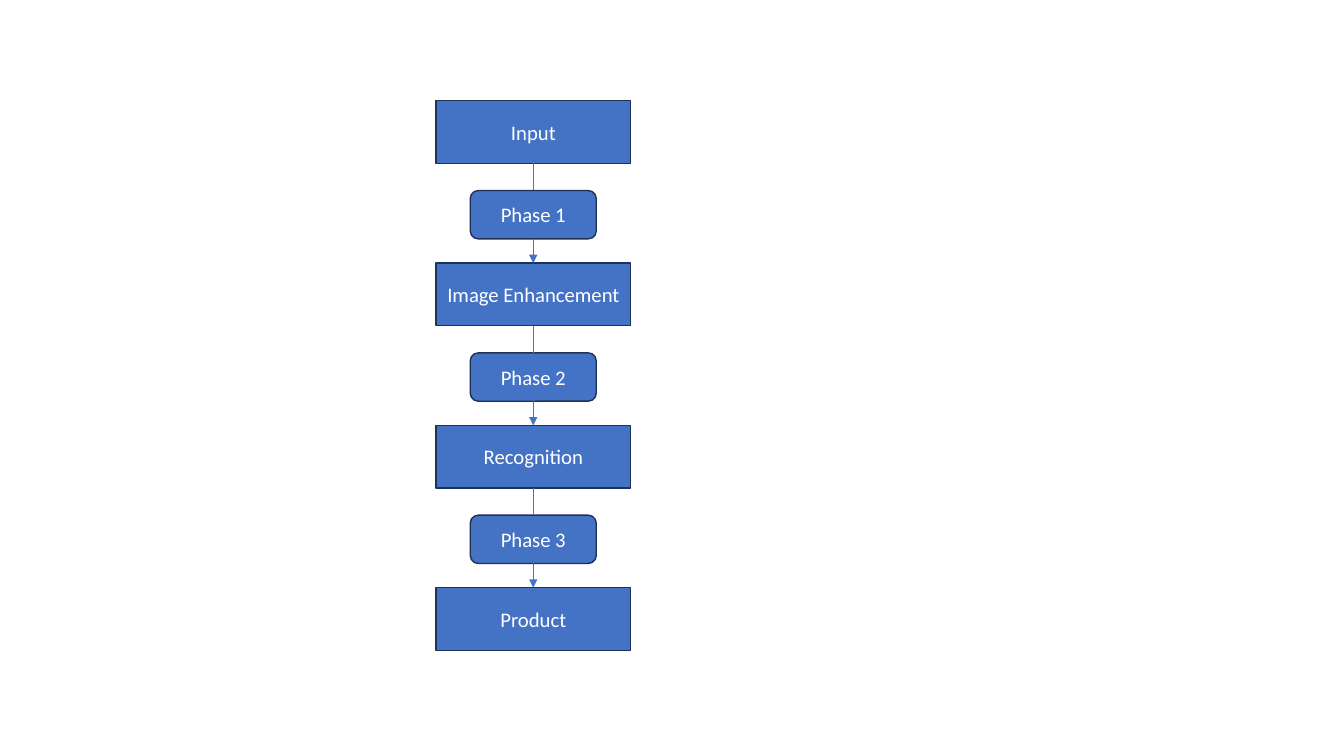
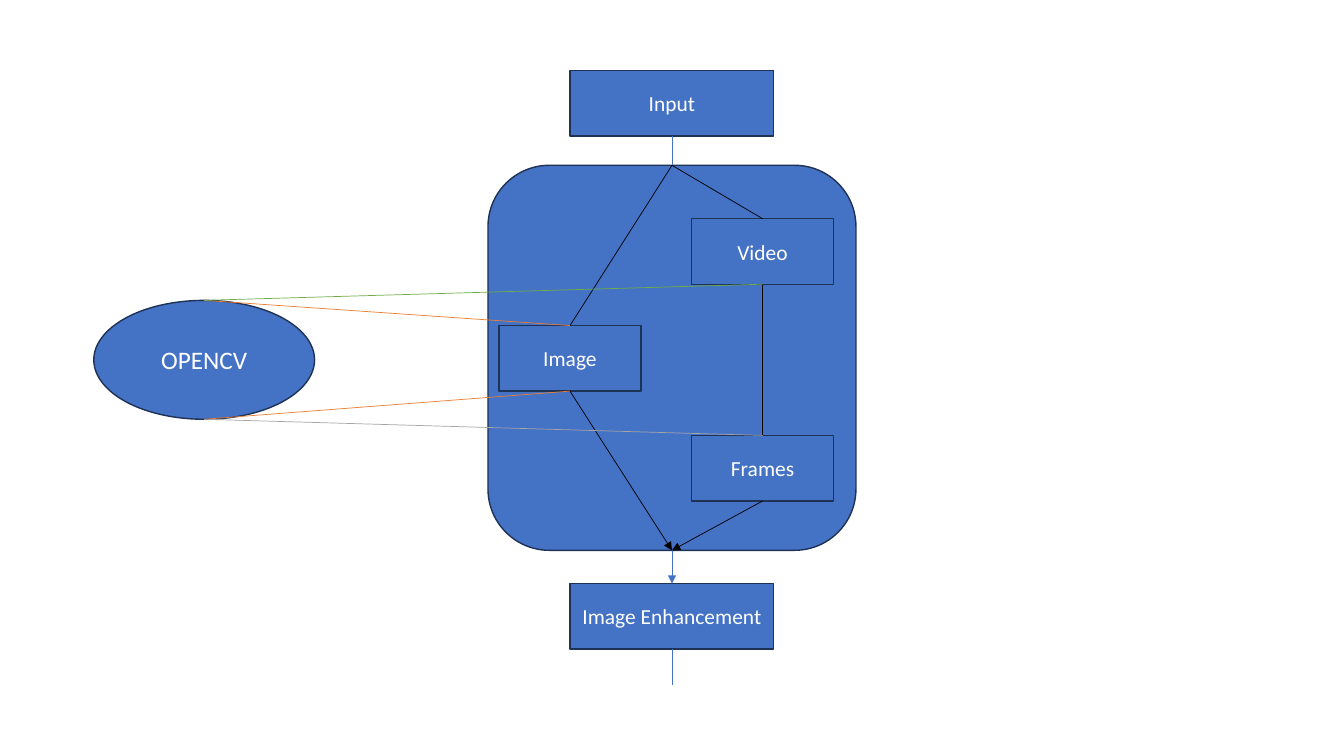
from dataclasses import dataclass

from lxml import etree
from pptx import Presentation
from pptx.dml.color import RGBColor
from pptx.enum.shapes import MSO_CONNECTOR, MSO_SHAPE
from pptx.enum.text import MSO_ANCHOR, PP_ALIGN
from pptx.oxml.ns import qn
from pptx.util import Inches, Pt

BOX = MSO_SHAPE.FLOWCHART_PROCESS
ROUND = MSO_SHAPE.FLOWCHART_ALTERNATE_PROCESS
OVAL = MSO_SHAPE.OVAL
STRAIGHT = MSO_CONNECTOR.STRAIGHT
MIDDLE = MSO_ANCHOR.MIDDLE
CENTER = PP_ALIGN.CENTER
TOP, BOTTOM = 0, 2


@dataclass(frozen=True)
class Theme:
    font: str = "Calibri"
    fill: str = "4472C4"
    edge: str = "1E3256"
    text: str = "FFFFFF"
    black: str = "000000"
    orange: str = "ED7D31"
    green: str = "70AD47"
    gray: str = "A5A5A5"
    small: float = 14.8
    body: float = 15.3
    large: float = 18
    thick: float = 1
    thin: float = 0.5
    gap: float = 6


class Deck:
    """Places parts by percent of the slide's width and height."""

    def __init__(self, theme):
        self.theme = theme
        self.prs = Presentation()
        self.prs.slide_width = Inches(13.33)
        self.prs.slide_height = Inches(7.5)
        self.slide = None

    def page(self):
        self.slide = self.prs.slides.add_slide(self.prs.slide_layouts[6])

    def across(self, share):
        return round(self.prs.slide_width * share / 100)

    def down(self, share):
        return round(self.prs.slide_height * share / 100)

    def node(self, kind, mid, top, size, text="", points=None, gap=None):
        """Draw a shape centred on the column mid."""
        theme = self.theme
        wide, high = size
        shape = self.slide.shapes.add_shape(
            kind, self.across(mid - wide / 2), self.down(top),
            self.across(wide), self.down(high))
        shape.shadow.inherit = False
        shape.fill.solid()
        shape.fill.fore_color.rgb = RGBColor.from_string(theme.fill)
        shape.line.color.rgb = RGBColor.from_string(theme.edge)
        shape.line.width = Pt(theme.thick)
        if text:
            frame = shape.text_frame
            frame.word_wrap = True
            frame.vertical_anchor = MIDDLE
            frame.margin_left = frame.margin_right = 0
            para = frame.paragraphs[0]
            para.text = text
            para.alignment = CENTER
            para.space_after = Pt(theme.gap if gap is None else gap)
            para.font.name = theme.font
            para.font.size = Pt(points or theme.body)
            para.font.color.rgb = RGBColor.from_string(theme.text)
        return shape

    def spot(self, shape, side):
        """Return the middle of a shape's top or bottom side."""
        drop = shape.height if side == BOTTOM else 0
        return shape.left + shape.width // 2, shape.top + drop

    def line(self, start, end, color=None, arrow=False):
        wire = self.slide.shapes.add_connector(STRAIGHT, *start, *end)
        wire.line.color.rgb = RGBColor.from_string(color or self.theme.fill)
        wire.line.width = Pt(self.theme.thin)
        props = wire.line._get_or_add_ln()
        if arrow:
            etree.SubElement(props, qn("a:tailEnd"), type="triangle")
        etree.SubElement(props.getparent(), qn("a:effectLst"))
        return wire

    def link(self, start, end, color=None, arrow=False):
        """Join two (shape, side) ends, gluing all but ovals."""
        wire = self.line(self.spot(*start), self.spot(*end), color, arrow)
        for (shape, side), glue in ((start, wire.begin_connect),
                                    (end, wire.end_connect)):
            if shape.auto_shape_type != OVAL:
                glue(shape, side)


def draw_phases(deck):
    mid, top, pitch = 39.68, 13.33, 21.47
    points = deck.theme.small

    # Main steps
    names = ("Input", "Image Enhancement", "Recognition", "Product")
    steps = [deck.node(BOX, mid, top + i * pitch, (14.48, 8.27), name, points)
             for i, name in enumerate(names)]

    # Phases between each pair of steps
    for i, (above, below) in enumerate(zip(steps, steps[1:])):
        phase = deck.node(ROUND, mid, top + 11.87 + i * pitch, (9.38, 6.4),
                          f"Phase {i + 1}", points)
        deck.link((above, BOTTOM), (phase, TOP))
        deck.link((phase, BOTTOM), (below, TOP), arrow=True)


def draw_input(deck):
    theme = deck.theme
    mid, left, right = 50, 42.41, 56.74
    wide, small = (15.15, 8.67), (10.58, 8.67)

    # Main flow
    source = deck.node(BOX, mid, 9.33, wide, "Input")
    result = deck.node(BOX, mid, 77.2, wide, "Image Enhancement")
    panel = deck.node(ROUND, mid, 21.87, (27.38, 50.93))
    deck.link((source, BOTTOM), (panel, TOP))
    deck.link((panel, BOTTOM), (result, TOP), arrow=True)
    deck.line(deck.spot(result, BOTTOM), (deck.across(mid), deck.down(90.67)))

    # Image and video branches
    image = deck.node(BOX, left, 43.07, small, "Image")
    video = deck.node(BOX, right, 28.93, small, "Video")
    frames = deck.node(BOX, right, 57.6, small, "Frames")
    for branch in (image, video):
        deck.link((panel, TOP), (branch, TOP), theme.black)
    deck.link((video, BOTTOM), (frames, TOP), theme.black)
    for branch in (image, frames):
        deck.link((branch, BOTTOM), (panel, BOTTOM), theme.black, True)

    # Library and the parts it serves
    tool = deck.node(OVAL, 15.19, 39.73, (16.43, 15.73), "OPENCV",
                     theme.large, 0)
    for part, side, end, color in (
            (image, TOP, TOP, theme.orange),
            (image, BOTTOM, BOTTOM, theme.orange),
            (video, BOTTOM, TOP, theme.green),
            (frames, TOP, BOTTOM, theme.gray)):
        deck.link((part, side), (tool, end), color)


def main():
    deck = Deck(Theme())
    for draw in (draw_phases, draw_input):
        deck.page()
        draw(deck)
    deck.prs.save("out.pptx")


if __name__ == "__main__":
    main()
